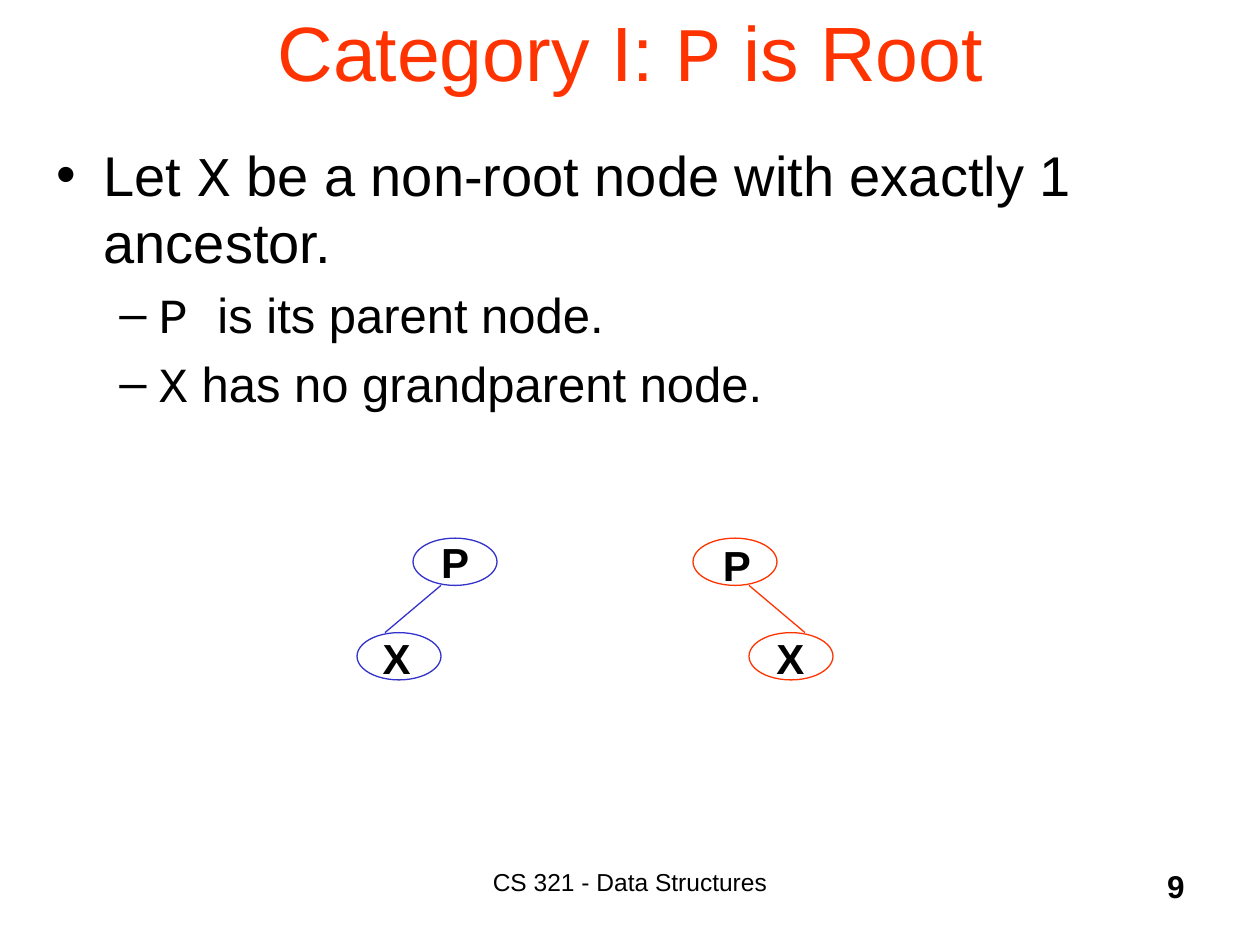
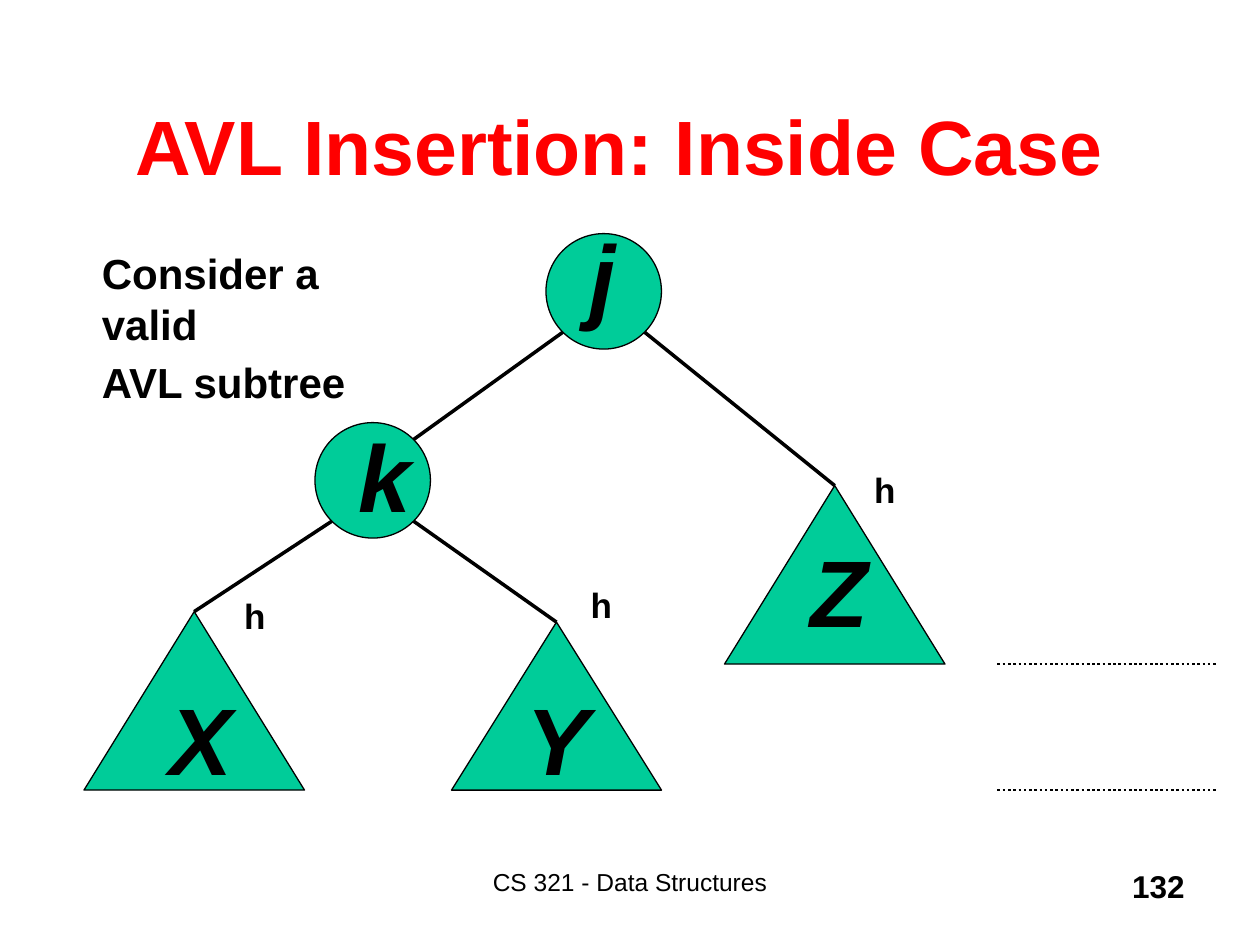
"""Build two lecture slides on AVL tree insertion."""
from math import sqrt

from lxml import etree
from pptx import Presentation
from pptx.dml.color import RGBColor
from pptx.enum.dml import MSO_LINE
from pptx.enum.shapes import MSO_CONNECTOR, MSO_SHAPE
from pptx.enum.text import MSO_ANCHOR, MSO_AUTO_SIZE, PP_ALIGN
from pptx.oxml.ns import qn
from pptx.util import Pt

OVAL, TRIANGLE = MSO_SHAPE.OVAL, MSO_SHAPE.ISOSCELES_TRIANGLE
STRAIGHT = MSO_CONNECTOR.STRAIGHT
LEFT, CENTER, RIGHT = PP_ALIGN.LEFT, PP_ALIGN.CENTER, PP_ALIGN.RIGHT
TOP, MIDDLE = MSO_ANCHOR.TOP, MSO_ANCHOR.MIDDLE
DOTTED = MSO_LINE.ROUND_DOT
FIXED = MSO_AUTO_SIZE.NONE

SANS, MONO = "Arial", "Courier New"
BLACK, BLUE, ORANGE, RED, GREEN = "000000", "3333CC", "FF3300", "FF0000", "00CC99"
COURSE = "CS 321 - Data Structures"
TITLE_LEFT, TITLE_WIDTH, TITLE_HEIGHT = 52.5, 615.5, 63.5
FOOTER_TOP, FOOTER_HEIGHT = 492, 36
OVAL_WIDTH, OVAL_HEIGHT = 48, 27
RADIUS = 33
DIAGONAL = RADIUS / sqrt(2)


def color(value):
    """Turn a hex string into a colour."""
    return RGBColor.from_string(value)


def place(item, left, top, width, height):
    """Move and size an item in points."""
    item.left, item.top = Pt(left), Pt(top)
    item.width, item.height = Pt(width), Pt(height)


def add_span(para, text, size=24, font=SANS, ink=BLACK, bold=False, italic=False):
    """Add one formatted run to a paragraph."""
    span = para.add_run()
    span.text = text
    span.font.name, span.font.size = font, Pt(size)
    span.font.bold, span.font.italic = bold, italic
    span.font.color.rgb = color(ink)


def write(frame, text, align=LEFT, anchor=TOP, **style):
    """Write a text, or (text, font) pairs, as the first paragraph of a frame."""
    frame.word_wrap, frame.auto_size = True, FIXED
    frame.vertical_anchor = anchor
    para = frame.paragraphs[0]
    para.alignment, para.space_before = align, Pt(0)
    pairs = [(text, SANS)] if isinstance(text, str) else text
    for part, font in pairs:
        add_span(para, part, font=font, **style)


def add_label(page, area, text, **style):
    """Add a text box."""
    box = page.shapes.add_textbox(*map(Pt, area))
    write(box.text_frame, text, **style)


def add_figure(page, kind, area, line, fill=None):
    """Add an outlined preset shape."""
    figure = page.shapes.add_shape(kind, *map(Pt, area))
    figure.shadow.inherit = False
    if fill:
        figure.fill.solid()
        figure.fill.fore_color.rgb = color(fill)
    else:
        figure.fill.background()
    figure.line.color.rgb = color(line)
    figure.line.width = Pt(0.75)
    return figure


def add_line(page, start, end, ink=BLACK, width=2, dash=None):
    """Add a straight line between two points."""
    line = page.shapes.add_connector(STRAIGHT, *map(Pt, (*start, *end)))
    etree.SubElement(line._element.spPr, qn("a:effectLst"))
    line.line.color.rgb = color(ink)
    line.line.width = Pt(width)
    if dash:
        line.line.dash_style = dash
    return line


def add_page(deck, title, title_top, number, **style):
    """Add a slide with its title, course footer and number."""
    page = deck.slides.add_slide(deck.slide_layouts[1])
    heading = page.shapes.title
    place(heading, TITLE_LEFT, title_top, TITLE_WIDTH, TITLE_HEIGHT)
    write(heading.text_frame, title, align=CENTER, anchor=MIDDLE, size=44, **style)
    add_label(page, (222, FOOTER_TOP, 276, FOOTER_HEIGHT), COURSE,
              align=CENTER, size=14)
    add_label(page, (534, FOOTER_TOP, 150, FOOTER_HEIGHT), number,
              align=RIGHT, size=18, bold=True)
    return page


def fill_list(page, area, first, others, first_size, other_size, level, **style):
    """Fill the body placeholder with a first paragraph and its followers."""
    body = page.placeholders[1]
    place(body, *area)
    frame = body.text_frame
    write(frame, first, size=first_size, **style)
    for pairs in others:
        para = frame.add_paragraph()
        para.level = level
        for text, font in pairs:
            add_span(para, text, size=other_size, font=font, **style)
    return frame


def remove_bullets(frame):
    """Drop bullets and indents from every paragraph."""
    for para in frame.paragraphs:
        properties = para._p.get_or_add_pPr()
        properties.set("marL", "0")
        properties.set("indent", "0")
        etree.SubElement(properties, qn("a:buNone"))


def add_pair(page, parent_center, side, ink):
    """Draw a parent and its child on the left (-1) or right (1), return the parent."""
    parent_top, child_top = 307.5, 361.5
    child_center = parent_center + 32 * side
    ovals = [add_figure(page, OVAL, (center - OVAL_WIDTH / 2, top, OVAL_WIDTH, OVAL_HEIGHT), ink)
             for center, top in ((parent_center, parent_top), (child_center, child_top))]
    add_line(page, (parent_center + 8 * side, parent_top + OVAL_HEIGHT),
             (child_center + 8 * side, child_top), ink, 0.75)
    return ovals[0]


def add_node(page, center):
    """Draw a round tree node and return its lower left and right corners."""
    x, y = center
    add_figure(page, OVAL, (x - RADIUS, y - RADIUS, 2 * RADIUS, 2 * RADIUS), BLACK, GREEN)
    return [(x + side * DIAGONAL, y + DIAGONAL) for side in (-1, 1)]


def add_subtree(page, parent_corner, left, base, width, height):
    """Draw a triangular subtree joined to its parent."""
    triangle = add_figure(page, TRIANGLE, (left, base - height, width, height), BLACK, GREEN)
    branch = add_line(page, parent_corner, (left + width / 2, base - height))
    branch.end_connect(triangle, 0)


def build_root_case(deck):
    """Build the slide where the parent is the root."""
    title = [("Category I: ", SANS), ("P", MONO), (" is Root", SANS)]
    page = add_page(deck, title, -3, "9", ink=ORANGE)
    fill_list(page, (25, 76.5, 682.5, 174),
              [("Let ", SANS), ("X", MONO),
               (" be a non-root node with exactly 1 ancestor.", SANS)],
              [[("P ", MONO), ("is its parent node.", SANS)],
               [("X", MONO), (" has no grandparent node.", SANS)]],
              first_size=32, other_size=28, level=1)
    parent = add_pair(page, 260, -1, BLUE)
    write(parent.text_frame, "P", align=CENTER, anchor=MIDDLE, bold=True)
    add_pair(page, 420, 1, ORANGE)
    for text, left, top in (("X", 211.5, 358), ("P", 406, 304.5), ("X", 436.5, 358)):
        add_label(page, (left, top, 32, 36), text, bold=True)


def build_inside_case(deck):
    """Build the slide with a valid AVL subtree."""
    page = add_page(deck, "AVL Insertion: Inside Case ", 51, "132", ink=RED, bold=True)
    frame = fill_list(page, (51, 138, 186.5, 65), "Consider a valid",
                      [[("AVL subtree", SANS)]],
                      first_size=24, other_size=24, level=0, bold=True)
    remove_bullets(frame)

    root, child = (345, 166.5), (213, 274.5)
    upper_base, lower_base = 379.5, 451.5
    root_left, root_right = add_node(page, root)
    child_left, child_right = add_node(page, child)
    add_line(page, root_left, (child[0] + DIAGONAL, child[1] - DIAGONAL))
    add_subtree(page, child_left, 48, lower_base, 126, 102)
    add_subtree(page, child_right, 258, lower_base, 120, 96)
    add_subtree(page, root_right, 414, upper_base, 126, 102)

    for base in (upper_base, lower_base):
        add_line(page, (570, base), (696, base), width=1.5, dash=DOTTED)
    for text, left, top in (("j", 330, 121), ("k", 198, 235.5), ("X", 90, 385.5),
                            ("Y", 294, 385.5), ("Z", 456, 301)):
        add_label(page, (left, top, 40.5, 72), text, size=54, bold=True, italic=True)
    for left, top in ((492.5, 264), (330.5, 330), (132.5, 336)):
        add_label(page, (left, top, 25, 32), "h", size=20, bold=True)


def main():
    """Build and save the deck."""
    deck = Presentation()
    deck.slide_width, deck.slide_height = Pt(720), Pt(540)
    build_root_case(deck)
    build_inside_case(deck)
    deck.save("out.pptx")


if __name__ == "__main__":
    main()
